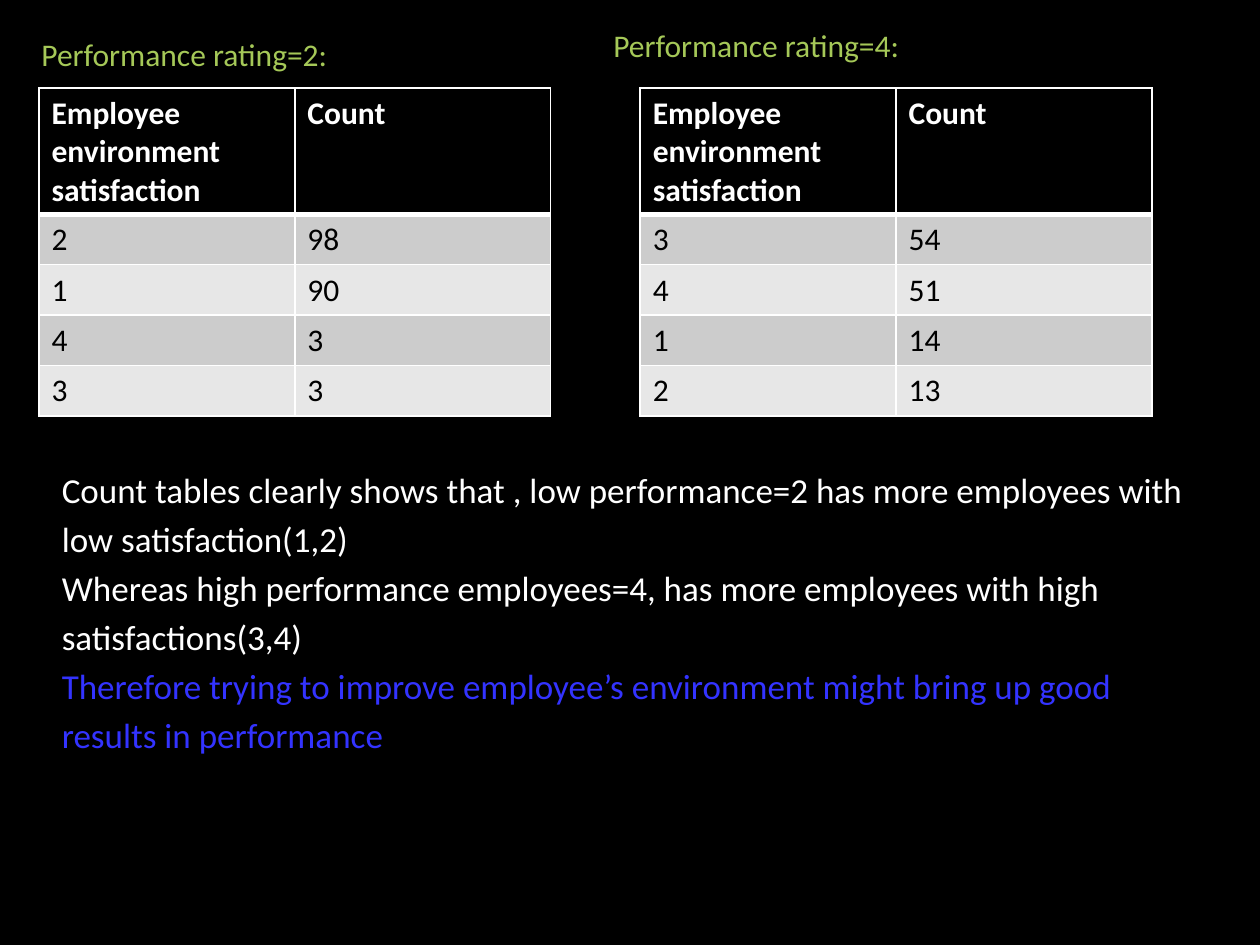
from dataclasses import dataclass

from lxml.etree import SubElement
from pptx import Presentation
from pptx.dml.color import RGBColor
from pptx.enum.text import MSO_AUTO_SIZE as AutoSize
from pptx.oxml.ns import qn
from pptx.slide import Slide
from pptx.table import _Cell as Cell
from pptx.text.text import _Paragraph as Paragraph
from pptx.util import Pt

BLACK = RGBColor(0x00, 0x00, 0x00)
WHITE = RGBColor(0xFF, 0xFF, 0xFF)
GREEN = RGBColor(0xA5, 0xC8, 0x58)
BLUE = RGBColor(0x33, 0x33, 0xFF)
DARK_BAND = RGBColor(0xCC, 0xCC, 0xCC)
LIGHT_BAND = RGBColor(0xE7, 0xE7, 0xE7)

FONT = "Calibri"
HEADER = ("Employee environment satisfaction", "Count")
TABLE_TOP = 50.4
COLUMN_WIDTH = 146.2
HEADER_HEIGHT = 72
ROW_HEIGHT = 28.8


@dataclass(frozen=True)
class RatingTable:
    heading: str
    heading_left: float
    heading_top: float
    heading_width: float
    heading_wraps: bool
    table_left: float
    counts: tuple[tuple[int, int], ...]


@dataclass(frozen=True)
class Line:
    text: str
    color: RGBColor


RATING_TABLES = (
    RatingTable("Performance rating=2:", 16.6, 16.6, 230.4, True, 22.3,
                ((2, 98), (1, 90), (4, 3), (3, 3))),
    RatingTable("Performance rating=4:", 343.4, 11.5, 180, False, 365.8,
                ((3, 54), (4, 51), (1, 14), (2, 13))),
)

CONCLUSION = (
    Line("Count tables clearly shows that , low performance=2 has more employees with", WHITE),
    Line("low satisfaction(1,2)", WHITE),
    Line("Whereas high performance employees=4, has more employees with high", WHITE),
    Line("satisfactions(3,4)", WHITE),
    Line("Therefore trying to improve employee\u2019s environment might bring up good", BLUE),
    Line("results in performance", BLUE),
)


def write(para: Paragraph, text: str, size: float, color: RGBColor, bold: bool = False) -> None:
    para.text = text
    for span in para.runs:
        span.font.name = FONT
        span.font.size = Pt(size)
        span.font.bold = bold
        span.font.color.rgb = color


def add_border(cell: Cell, side: str, width: float) -> None:
    properties = cell._tc.get_or_add_tcPr()
    line = SubElement(properties, qn(f"a:{side}"), w=str(Pt(width)))
    fill = SubElement(line, qn("a:solidFill"))
    SubElement(fill, qn("a:srgbClr"), val=str(WHITE))


def format_cell(cell: Cell, text: str, row: int) -> None:
    is_header = row == 0
    widths = {"lnL": 1, "lnR": 1, "lnT": 3 if row == 1 else 1, "lnB": 3 if is_header else 1}
    for side, width in widths.items():
        add_border(cell, side, width)
    cell.fill.solid()
    band = DARK_BAND if row % 2 else LIGHT_BAND
    cell.fill.fore_color.rgb = BLACK if is_header else band
    write(cell.text_frame.paragraphs[0], text, 18, WHITE if is_header else BLACK, is_header)


def add_rating_table(page: Slide, rating: RatingTable) -> None:
    box = page.shapes.add_textbox(Pt(rating.heading_left), Pt(rating.heading_top),
                                  Pt(rating.heading_width), Pt(28.8))
    box.text_frame.word_wrap = rating.heading_wraps
    box.text_frame.auto_size = AutoSize.SHAPE_TO_FIT_TEXT
    write(box.text_frame.paragraphs[0], rating.heading, 18, GREEN)

    rows = (HEADER, *rating.counts)
    height = HEADER_HEIGHT + ROW_HEIGHT * len(rating.counts)
    table = page.shapes.add_table(len(rows), len(HEADER), Pt(rating.table_left), Pt(TABLE_TOP),
                                  Pt(COLUMN_WIDTH * len(HEADER)), Pt(height)).table
    for row, values in enumerate(rows):
        table.rows[row].height = Pt(ROW_HEIGHT if row else HEADER_HEIGHT)
        for column, value in enumerate(values):
            format_cell(table.cell(row, column), str(value), row)


def fill_conclusion(page: Slide, lines: tuple[Line, ...]) -> None:
    body = page.placeholders[1]
    body.left, body.top, body.width, body.height = Pt(28.1), Pt(264.2), Pt(669.6), Pt(185.8)
    frame = body.text_frame
    frame.auto_size = AutoSize.NONE
    frame.text = "\n".join(line.text for line in lines)
    for para, line in zip(frame.paragraphs, lines):
        write(para, line.text, 20, line.color)
        para.space_before = Pt(4)
        properties = para._p.get_or_add_pPr()
        properties.set("marL", str(Pt(27)))
        properties.set("indent", str(Pt(-27)))
        SubElement(properties, qn("a:buNone"))


deck = Presentation()
deck.slide_width, deck.slide_height = Pt(720), Pt(540)
page = deck.slides.add_slide(deck.slide_layouts[1])
page.background.fill.solid()
page.background.fill.fore_color.rgb = BLACK
title = page.shapes.title.element
title.getparent().remove(title)

fill_conclusion(page, CONCLUSION)
for rating in RATING_TABLES:
    add_rating_table(page, rating)

deck.save("out.pptx")
